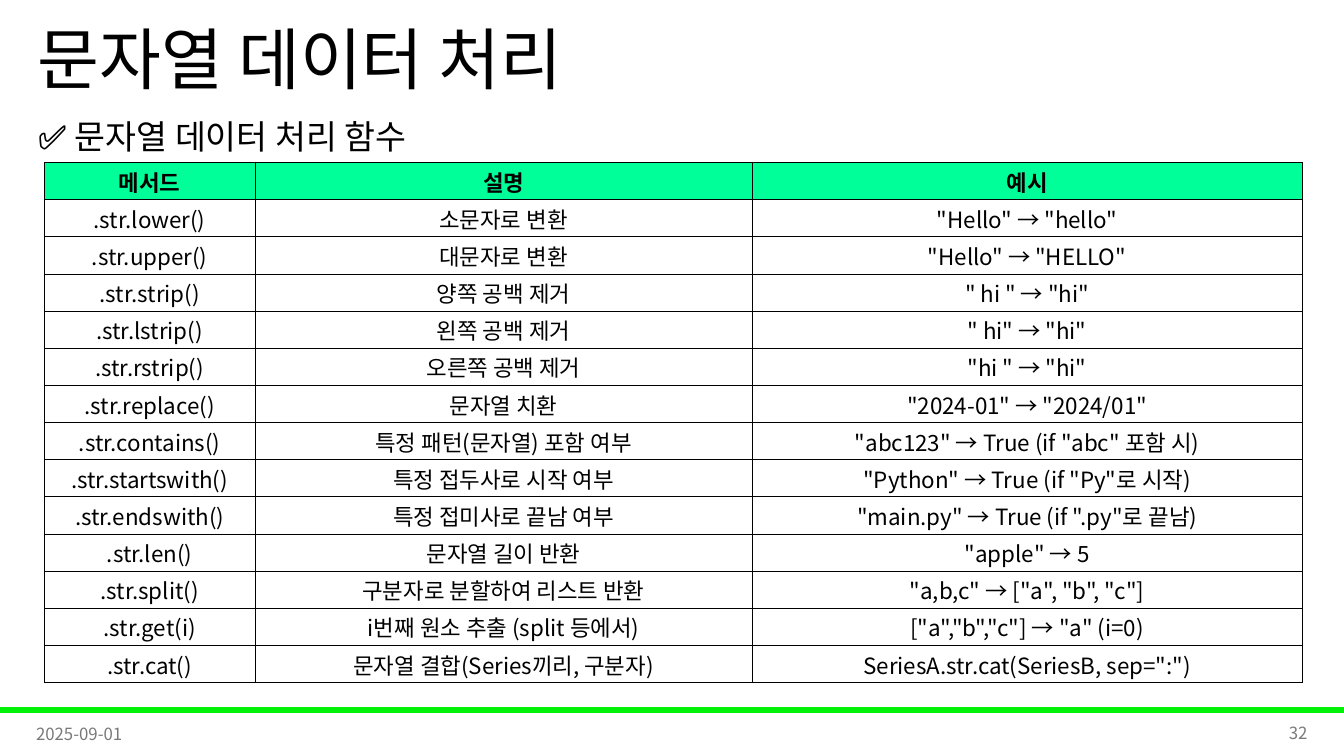
from lxml import etree
from pptx import Presentation
from pptx.dml.color import RGBColor
from pptx.enum.shapes import MSO_SHAPE
from pptx.enum.text import MSO_ANCHOR, PP_ALIGN
from pptx.oxml.ns import qn
from pptx.util import Pt

RECTANGLE = MSO_SHAPE.RECTANGLE
LEFT, CENTER, RIGHT = PP_ALIGN.LEFT, PP_ALIGN.CENTER, PP_ALIGN.RIGHT
MIDDLE, TOP = MSO_ANCHOR.MIDDLE, MSO_ANCHOR.TOP

TITLE = "문자열 데이터 처리"
SUBTITLE = "✅ 문자열 데이터 처리 함수"
DATE = "2025-09-01"
PAGE = "32"
METHODS = [
    ("메서드", "설명", "예시"),
    (".str.lower()", "소문자로 변환", '"Hello" → "hello"'),
    (".str.upper()", "대문자로 변환", '"Hello" → "HELLO"'),
    (".str.strip()", "양쪽 공백 제거", '" hi " → "hi"'),
    (".str.lstrip()", "왼쪽 공백 제거", '" hi" → "hi"'),
    (".str.rstrip()", "오른쪽 공백 제거", '"hi " → "hi"'),
    (".str.replace()", "문자열 치환", '"2024-01" → "2024/01"'),
    (".str.contains()", "특정 패턴(문자열) 포함 여부", '"abc123" → True (if "abc" 포함 시)'),
    (".str.startswith()", "특정 접두사로 시작 여부", '"Python" → True (if "Py"로 시작)'),
    (".str.endswith()", "특정 접미사로 끝남 여부", '"main.py" → True (if ".py"로 끝남)'),
    (".str.len()", "문자열 길이 반환", '"apple" → 5'),
    (".str.split()", "구분자로 분할하여 리스트 반환", '"a,b,c" → ["a", "b", "c"]'),
    (".str.get(i)", "i번째 원소 추출 (split 등에서)", '["a","b","c"] → "a" (i=0)'),
    (".str.cat()", "문자열 결합(Series끼리, 구분자)", 'SeriesA.str.cat(SeriesB, sep=":")'),
]

THEME = {
    "font": "Noto Sans CJK KR",
    "text": "000000",
    "muted": "797979",
    "header": "00FF99",
    "footer_bar": "00F209",
    "border": "000000",
    "title_size": 48,
    "subtitle_size": 24,
    "table_size": 16,
    "footer_size": 12,
}
SLIDE_WIDTH, SLIDE_HEIGHT = 960, 540
TABLE_LEFT, TABLE_TOP, TABLE_HEIGHT = 31.7, 116, 371.6
COLUMN_WIDTHS = (150.5, 355, 393)
BORDER_WIDTH = 0.5


def write_text(frame, text, *, size, color=THEME["text"], bold=False, align=LEFT, spacing=1.0):
    paragraph = frame.paragraphs[0]
    paragraph.alignment = align
    paragraph.line_spacing = spacing
    run = paragraph.add_run()
    run.text = text
    run.font.size = Pt(size)
    run.font.bold = bold
    run.font.color.rgb = RGBColor.from_string(color)
    run.font.name = THEME["font"]
    properties = run._r.get_or_add_rPr()
    etree.SubElement(properties, qn("a:ea"), typeface=THEME["font"])


def add_text_box(slide, box, text, anchor=MIDDLE, **text_format):
    frame = slide.shapes.add_textbox(*map(Pt, box)).text_frame
    frame.word_wrap = True
    frame.vertical_anchor = anchor
    write_text(frame, text, **text_format)


def add_borders(cell):
    properties = cell._tc.get_or_add_tcPr()
    for position, side in enumerate(("a:lnL", "a:lnR", "a:lnT", "a:lnB")):
        line = etree.Element(qn(side), w=str(Pt(BORDER_WIDTH)))
        fill = etree.SubElement(line, qn("a:solidFill"))
        etree.SubElement(fill, qn("a:srgbClr"), val=THEME["border"])
        properties.insert(position, line)


def add_method_table(slide):
    table = slide.shapes.add_table(
        len(METHODS), len(COLUMN_WIDTHS), Pt(TABLE_LEFT), Pt(TABLE_TOP),
        Pt(sum(COLUMN_WIDTHS)), Pt(TABLE_HEIGHT),
    ).table
    table.horz_banding = False
    for column, width in zip(table.columns, COLUMN_WIDTHS):
        column.width = Pt(width)
    for row_index, values in enumerate(METHODS):
        is_header = row_index == 0
        table.rows[row_index].height = Pt(TABLE_HEIGHT / len(METHODS))
        for column_index, value in enumerate(values):
            cell = table.cell(row_index, column_index)
            cell.margin_left = cell.margin_right = cell.margin_top = Pt(0.7)
            cell.margin_bottom = 0
            cell.vertical_anchor = MIDDLE
            if is_header:
                cell.fill.solid()
                cell.fill.fore_color.rgb = RGBColor.from_string(THEME["header"])
            else:
                cell.fill.background()
            add_borders(cell)
            write_text(cell.text_frame, value, size=THEME["table_size"], bold=is_header, align=CENTER)


def add_footer_bar(slide):
    bar = slide.shapes.add_shape(RECTANGLE, 0, Pt(505.4), Pt(SLIDE_WIDTH), Pt(3.6))
    bar.shadow.inherit = False
    color = RGBColor.from_string(THEME["footer_bar"])
    bar.fill.solid()
    bar.fill.fore_color.rgb = color
    bar.line.color.rgb = color
    bar.line.width = Pt(1)


def main():
    presentation = Presentation()
    presentation.slide_width = Pt(SLIDE_WIDTH)
    presentation.slide_height = Pt(SLIDE_HEIGHT)
    slide = presentation.slides.add_slide(presentation.slide_layouts[6])
    footer = {"size": THEME["footer_size"], "color": THEME["muted"]}
    add_footer_bar(slide)
    add_text_box(slide, (20, 0, 828, 90), TITLE, size=THEME["title_size"], spacing=0.9)
    add_text_box(slide, (18.7, 510, 216, 28.8), DATE, **footer)
    add_text_box(slide, (725, 509, 216, 28.8), PAGE, align=RIGHT, **footer)
    add_text_box(slide, (20, 79.2, 283, 36), SUBTITLE, anchor=TOP, size=THEME["subtitle_size"])
    add_method_table(slide)
    presentation.save("out.pptx")


if __name__ == "__main__":
    main()
